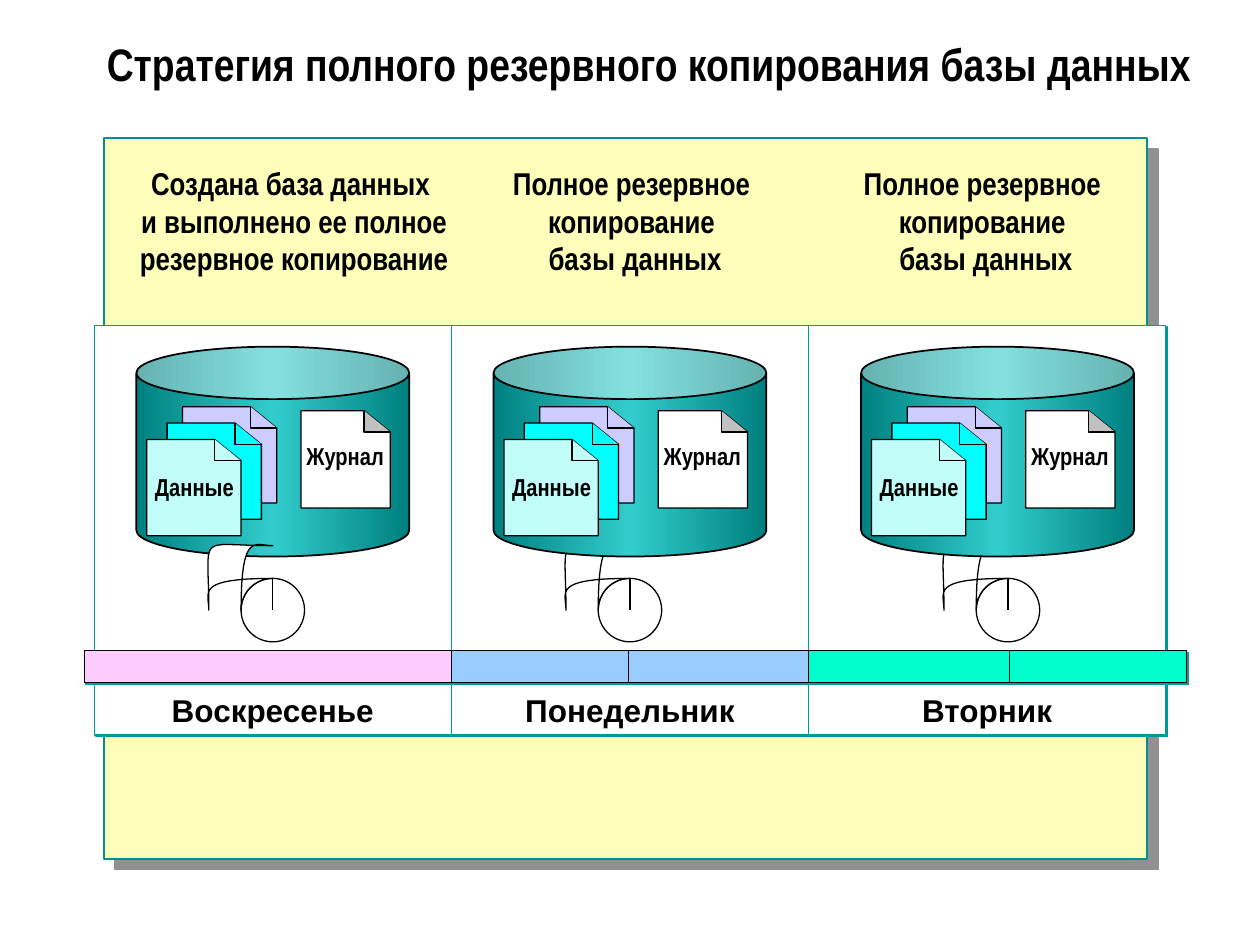
from copy import deepcopy

from lxml.etree import SubElement
from pptx import Presentation
from pptx.dml.color import RGBColor
from pptx.enum.shapes import MSO_CONNECTOR, MSO_SHAPE
from pptx.enum.text import MSO_ANCHOR, MSO_AUTO_SIZE, PP_ALIGN
from pptx.oxml.ns import qn
from pptx.util import Cm, Pt

BLACK = RGBColor(0x00, 0x00, 0x00)
WHITE = RGBColor(0xFF, 0xFF, 0xFF)
CREAM = RGBColor(0xFC, 0xFE, 0xB9)
EDGE = RGBColor(0x00, 0x90, 0x94)
TEAL = RGBColor(0x00, 0x99, 0x99)
SHADE = RGBColor(0x00, 0x9E, 0xA1)
GRAY = RGBColor(0x91, 0x91, 0x91)
SILVER = RGBColor(0xC0, 0xC0, 0xC0)
PINK = RGBColor(0xFF, 0xCC, 0xFF)
BLUE = RGBColor(0x99, 0xCC, 0xFF)
GREEN = RGBColor(0x00, 0xFF, 0xCC)
LILAC = RGBColor(0xCC, 0xCC, 0xFF)
CYAN = RGBColor(0x00, 0xFF, 0xFF)
MINT = RGBColor(0xC1, 0xFE, 0xF9)
DARK = RGBColor(0x00, 0x80, 0x80)
LIGHT = RGBColor(0x33, 0xCC, 0xCC)

# Day columns, in cm
LEFT, STEP, TOP = 1.9, 7.2, 6.56
BAR_TOP, BAR_H = 13.12, 0.64
DAYS = ["Воскресенье", "Понедельник", "Вторник"]
BARS = [(1.7, 7.4, PINK), (9.1, 7.2, BLUE), (16.3, 7.62, GREEN)]
TICKS = [12.67, 20.35]
BASES = [2.75, 9.95, 17.36]
TAPES = [5.5, 12.7, 20.32]
COPY = "Полное резервное \nкопирование \nбазы данных"
NOTES = [
    (2.54, 6.78, True, "Создана база данных \nи выполнено ее полное резервное копирование"),
    (9.1, 7.41, True, COPY),
    (17.15, 5.45, False, COPY),
]
# Loose end of the tape: Bezier curves measured from the top of the reel
CURVES = [
    [(0, 0), (-1.57, 0), (-1.29, 0.28), (-1.29, 0.64)],
    [(-1.29, 0.64), (-1.29, -0.97), (-1.57, -0.66), (0, -0.66)],
    [(0, -0.66), (-0.36, -0.66), (-0.64, -0.97), (-0.64, 0.64)],
    [(-0.64, 0.64), (-0.64, 0.28), (-0.36, 0), (0, 0)],
]


def write(shape, text, size=18, name="Arial Narrow", align=PP_ALIGN.CENTER,
          anchor=MSO_ANCHOR.TOP, wrap=False, gap=None):
    frame = shape.text_frame
    frame.text = text
    frame.auto_size = MSO_AUTO_SIZE.NONE
    frame.word_wrap = wrap
    frame.vertical_anchor = anchor
    for para in frame.paragraphs:
        para.alignment = align
        para.line_spacing = gap
        font = para.font
        font.size, font.name, font.bold = Pt(size), name, True
        font.color.rgb = BLACK


def label(slide, x, y, w, h, text, **style):
    write(slide.shapes.add_textbox(Cm(x), Cm(y), Cm(w), Cm(h)), text, **style)


def paint(shape, fill, line=BLACK, width=0.75):
    shape.shadow.inherit = False
    shape.fill.solid()
    shape.fill.fore_color.rgb = fill
    shape.line.color.rgb = line
    shape.line.width = Pt(width)


def cast(shape, color, dist):
    """Add a hard shadow to the lower right."""
    effects = shape._element.spPr.find(qn("a:effectLst"))
    outer = SubElement(effects, qn("a:outerShdw"), dist=str(Pt(dist)),
                       dir="2700000", algn="ctr", rotWithShape="0")
    SubElement(outer, qn("a:srgbClr"), val=str(color))


def block(slide, x, y, w, h, fill, kind=MSO_SHAPE.RECTANGLE, **edge):
    shape = slide.shapes.add_shape(kind, Cm(x), Cm(y), Cm(w), Cm(h))
    paint(shape, fill, **edge)
    return shape


def outline(slide, points, fill, close=True):
    spots = [(Cm(x), Cm(y)) for x, y in points]
    build = slide.shapes.build_freeform(*spots[0])
    build.add_line_segments(spots[1:], close=close)
    paint(build.convert_to_shape(), fill)


def rule(slide, x, y, h):
    line = slide.shapes.add_connector(
        MSO_CONNECTOR.STRAIGHT, Cm(x), Cm(y), Cm(x), Cm(y + h))
    line.line.color.rgb = BLACK
    line.line.width = Pt(0.75)
    SubElement(line._element.spPr, qn("a:effectLst"))


def page(slide, x, y, w, h, fill, flap):
    """Sheet with its top right corner folded."""
    fold, drop = 0.53, 0.43
    bend, right, low = x + w - fold, x + w, y + h
    outline(slide, [(x, y), (bend, y), (right, y + drop), (right, low), (x, low)], fill)
    outline(slide, [(bend, y), (bend, y + drop), (right, y + drop)], flap, close=False)


def base(slide, x):
    """Database drum with data pages and a log."""
    drum = block(slide, x, 6.99, 5.5, 4.23, DARK, MSO_SHAPE.CAN, width=1)
    drum.adjustments[0] = 0.25
    drum.fill.gradient()
    drum.fill.gradient_angle = 0
    stops = drum._element.spPr.find(qn("a:gradFill")).find(qn("a:gsLst"))
    stops.append(deepcopy(stops[0]))
    for stop, color, place in zip(drum.fill.gradient_stops, (DARK, LIGHT, DARK), (0, 0.5, 1)):
        stop.color.rgb = color
        stop.position = place

    for dx, y, fill in [(0.93, 8.2, LILAC), (0.62, 8.53, CYAN), (0.21, 8.86, MINT)]:
        page(slide, x + dx, y, 1.9, 1.94, fill, fill)
    label(slide, x + 0.12, 9.4, 2.1, 0.86, "Данные", size=14)
    page(slide, x + 3.32, 8.28, 1.8, 1.96, WHITE, SILVER)
    label(slide, x + 3.17, 8.76, 2.08, 0.86, "Журнал", size=14)


def curve(ends, count=16):
    """Points along a cubic Bezier curve."""
    for i in range(count + 1):
        t = i / count
        parts = ((1 - t) ** 3, 3 * t * (1 - t) ** 2, 3 * t ** 2 * (1 - t), t ** 3)
        yield tuple(sum(p * e[k] for p, e in zip(parts, ends)) for k in (0, 1))


def tape(slide, x, y=11.66, r=0.64):
    block(slide, x - r, y, 2 * r, 2 * r, WHITE, MSO_SHAPE.OVAL)
    outline(slide, [(x + dx, y + dy) for ends in CURVES for dx, dy in curve(ends)], WHITE)
    rule(slide, x, y, r)


def main():
    deck = Presentation()
    deck.slide_width, deck.slide_height = Cm(25.4), Cm(19.05)
    slide = deck.slides.add_slide(deck.slide_layouts[5])

    # Title
    title = slide.shapes.title
    title.left, title.top, title.width, title.height = Cm(1.9), Cm(0.2), Cm(23.5), Cm(2.34)
    write(title, "Стратегия полного резервного копирования базы данных", size=26,
          align=PP_ALIGN.LEFT, anchor=MSO_ANCHOR.MIDDLE, wrap=True, gap=0.8)

    # Backdrop and notes above the days
    cast(block(slide, 2.1, 2.79, 21.03, 14.53, CREAM, line=EDGE, width=1), GRAY, 8.5)
    for x, w, wrap, text in NOTES:
        label(slide, x, 3.18, w, 2.54, text, wrap=wrap)

    # Day panels
    for i, day in enumerate(DAYS):
        panel = block(slide, LEFT + i * STEP, TOP, STEP, 8.26, WHITE, line=TEAL)
        cast(panel, TEAL, 1.4)
        write(panel, day, name="Arial", anchor=MSO_ANCHOR.BOTTOM)

    # Time line
    for x, w, fill in BARS:
        cast(block(slide, x, BAR_TOP, w, BAR_H, fill), SHADE, 1.4)
    for x in TICKS:
        rule(slide, x, BAR_TOP, BAR_H)

    # The first tape lies over its drum, the others behind theirs
    base(slide, BASES[0])
    for x in TAPES:
        tape(slide, x)
    for x in BASES[1:]:
        base(slide, x)

    deck.save("out.pptx")


if __name__ == "__main__":
    main()
